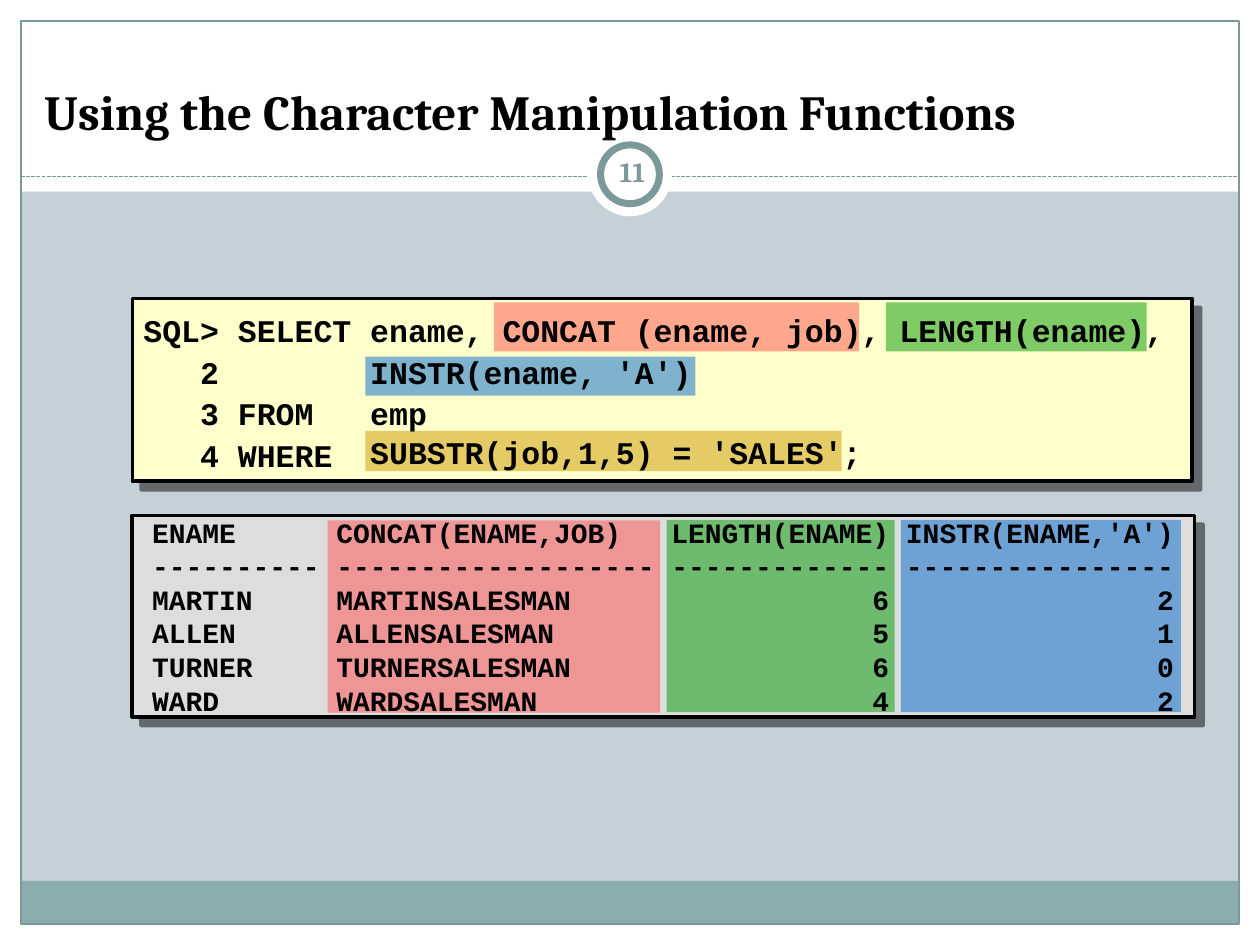
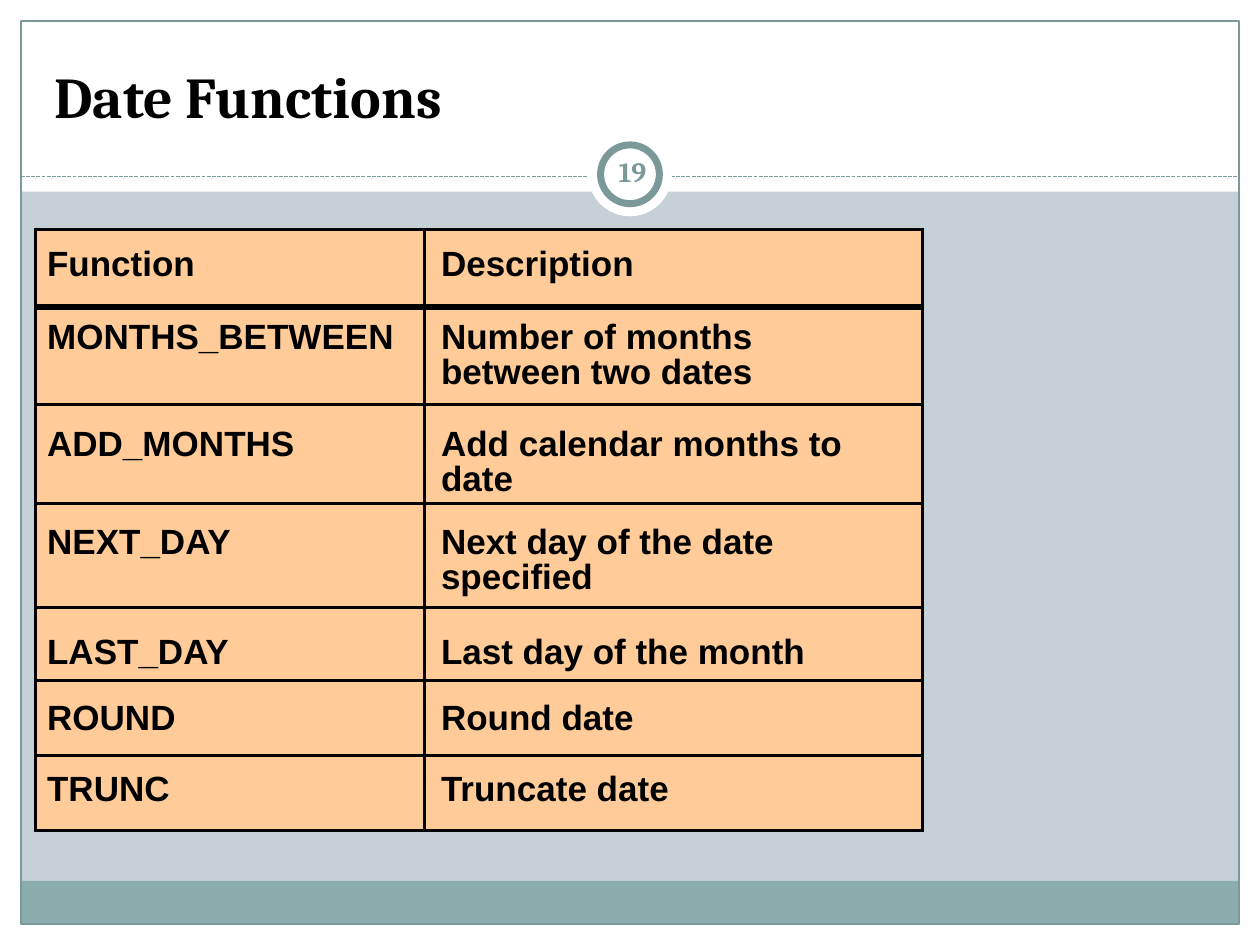
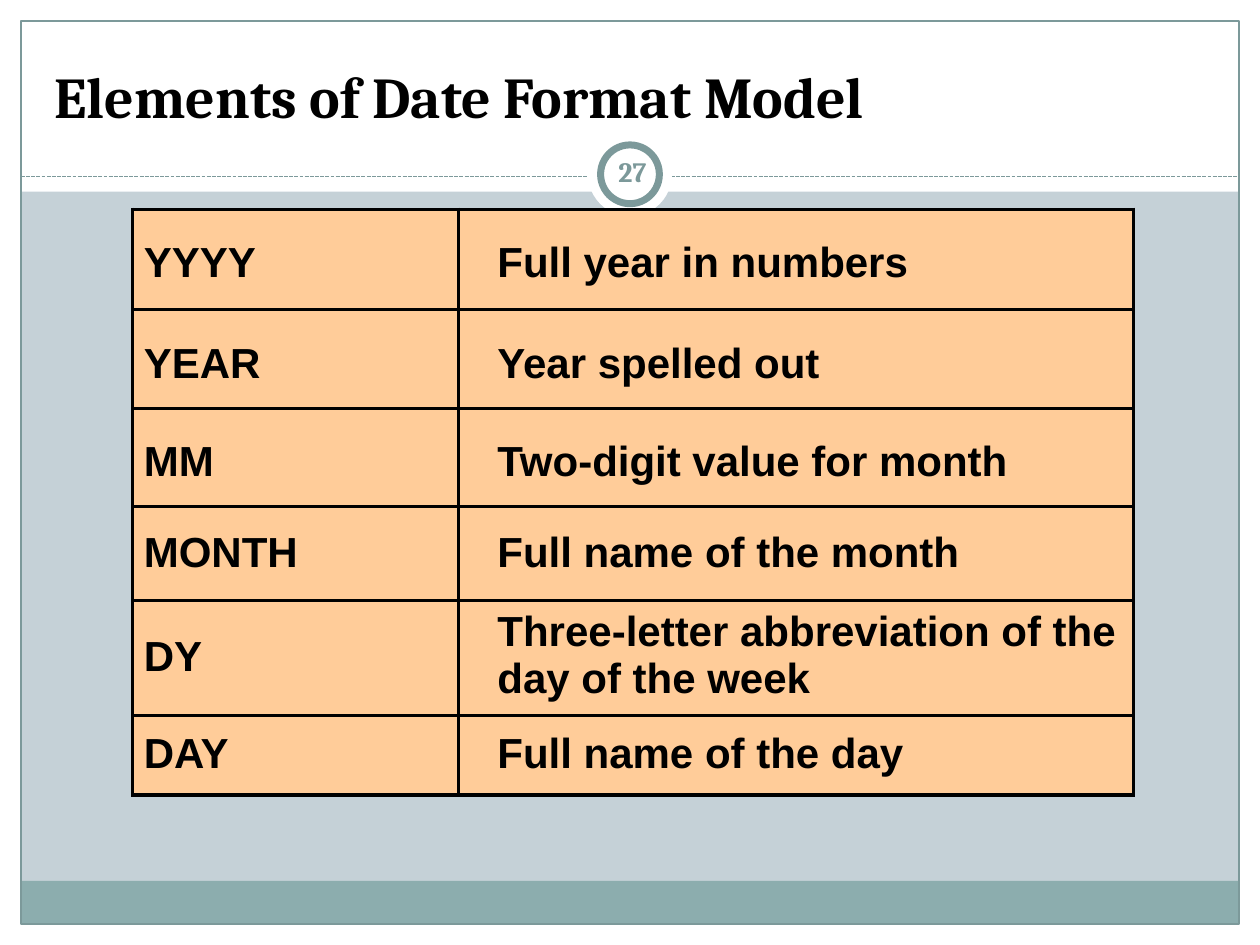
from lxml.etree import SubElement
from pptx import Presentation
from pptx.dml.color import RGBColor
from pptx.enum.dml import MSO_LINE
from pptx.enum.shapes import MSO_CONNECTOR, MSO_SHAPE
from pptx.enum.text import MSO_ANCHOR, MSO_AUTO_SIZE, PP_ALIGN
from pptx.oxml.ns import qn
from pptx.util import Pt

BLACK = RGBColor(0x00, 0x00, 0x00)
WHITE = RGBColor(0xFF, 0xFF, 0xFF)
BACKGROUND = RGBColor(0xC5, 0xD1, 0xD7)
BAND = RGBColor(0x8C, 0xAD, 0xAE)
ACCENT = RGBColor(0x7C, 0x99, 0x9A)
PEACH = RGBColor(0xFF, 0xCC, 0x99)
CREAM = RGBColor(0xFF, 0xFF, 0xCC)
GRAY = RGBColor(0xDD, 0xDD, 0xDD)
RED = RGBColor(0xFF, 0x50, 0x50)
GREEN = RGBColor(0x00, 0x99, 0x00)
BLUE = RGBColor(0x00, 0x66, 0xCC)
GOLD = RGBColor(0xCC, 0x99, 0x00)

SERIF, SANS, MONO = "Cambria", "Arial", "Courier New"
WIDTH, HEIGHT, MARGIN = 720, 540, 12

QUERY = [
    "SQL> SELECT ename, CONCAT (ename, job), LENGTH(ename),",
    "   2        INSTR(ename, 'A')",
    "   3 FROM   emp",
    "   4 WHERE",
]
CONDITION = "SUBSTR(job,1,5) = 'SALES';"
COLUMNS = [("ENAME", 10, "<"), ("CONCAT(ENAME,JOB)", 19, "<"),
           ("LENGTH(ENAME)", 13, ">"), ("INSTR(ENAME,'A')", 16, ">")]
RECORDS = [
    ("MARTIN", "MARTINSALESMAN", 6, 2),
    ("ALLEN", "ALLENSALESMAN", 5, 1),
    ("TURNER", "TURNERSALESMAN", 6, 0),
    ("WARD", "WARDSALESMAN", 4, 2),
]
HIGHLIGHTS = [
    (RED, (282.2, 172.8, 208.8, 28)), (RED, (187.2, 297.3, 190, 110)),
    (GREEN, (506.2, 172.8, 149, 28)), (GREEN, (380.9, 297, 130.3, 110)),
    (BLUE, (208.8, 203.8, 188.6, 22.3)), (BLUE, (514.8, 297, 160, 110)),
    (GOLD, (208.8, 246.2, 272.2, 23)),
]

# Each table row: key, description, row height, text offset in each column.
DATE_FUNCTIONS = [
    ("Function", "Description", 44.7, 10.8, 10.8),
    ("MONTHS_BETWEEN", "Number of months\nbetween two dates", 55.4, 7.9, 7.9),
    ("ADD_MONTHS", "Add calendar months to date", 55.5, 13.7, 13.7),
    ("NEXT_DAY", "Next day of the date specified", 59, 12.9, 12.9),
    ("LAST_DAY", "Last day of the month", 41.8, 16.6, 16.6),
    ("ROUND", "Round date", 43.2, 12.9, 12.9),
    ("TRUNC", "Truncate date", 42.4, 10, 10),
]
FORMAT_ELEMENTS = [
    ("YYYY", "Full year in numbers", 57.6, 17.3, 17.3),
    ("YEAR", "Year spelled out", 56.2, 17.3, 17.3),
    ("MM", "Two-digit value for month", 56.1, 17.3, 17.3),
    ("MONTH", "Full name of the month", 54, 13, 13),
    ("DY", "Three-letter abbreviation of the day of the week", 65.6, 18.8, 4.4),
    ("DAY", "Full name of the day", 45.3, 8.6, 8.6),
]


def add_box(s, box, fill=None, line=None, weight=0.75, kind=MSO_SHAPE.RECTANGLE):
    """Add a preset shape without the theme's shadow, fill and line."""
    sp = s.shapes.add_shape(kind, *map(Pt, box))
    sp.shadow.inherit = False
    if fill is None:
        sp.fill.background()
    else:
        sp.fill.solid()
        sp.fill.fore_color.rgb = fill
    if line is None:
        sp.line.fill.background()
    else:
        sp.line.color.rgb = line
        sp.line.width = Pt(weight)
    return sp


def add_alpha(parent, percent):
    """Set the opacity of the first colour under an element."""
    color = next(parent.iter(qn("a:srgbClr")))
    SubElement(color, qn("a:alpha"), val=str(percent * 1000))


def add_panel(s, box, fill):
    """Add an outlined panel with a hard shadow at its lower right."""
    spPr = add_box(s, box, fill, BLACK, 2).element.spPr
    shadow = SubElement(spPr.find(qn("a:effectLst")), qn("a:outerShdw"),
                        dist=str(Pt(7.1)), dir=str(45 * 60000), algn="ctr", rotWithShape="0")
    SubElement(shadow, qn("a:srgbClr"), val=str(BLACK))
    add_alpha(shadow, 50)


def write(p, text, font, size, color=BLACK):
    """Write bold text into a paragraph, breaking lines at newlines."""
    for i, part in enumerate(text.split("\n")):
        if i:
            p.add_line_break()
        r = p.add_run()
        r.text = part
        r.font.name, r.font.size, r.font.bold = font, Pt(size), True
        r.font.color.rgb = color


def add_text(s, box, lines, font, size, color=BLACK, spacing=1.0,
             anchor=MSO_ANCHOR.TOP, align=PP_ALIGN.LEFT, inset=7.2):
    """Add a text box with one paragraph for each line."""
    tf = s.shapes.add_textbox(*map(Pt, box)).text_frame
    tf.word_wrap = True
    tf.vertical_anchor = anchor
    tf.margin_left = tf.margin_right = Pt(inset)
    tf.margin_top = tf.margin_bottom = Pt(3.6)
    for i, line in enumerate(lines):
        p = tf.add_paragraph() if i else tf.paragraphs[0]
        p.line_spacing, p.alignment = spacing, align
        write(p, line, font, size, color)


def add_frame(s, layout):
    """Draw the shared frame and move it to the layout."""
    right, bottom = WIDTH - MARGIN, HEIGHT - MARGIN
    for box in [(0, bottom, WIDTH, MARGIN), (0, 0, WIDTH, 109.5),
                (0, 0, MARGIN, HEIGHT), (right, 0, MARGIN, HEIGHT)]:
        add_box(s, box, WHITE)
    add_box(s, (MARGIN, 503.3, right - MARGIN, 24.7), BAND)
    add_box(s, (MARGIN, MARGIN, right - MARGIN, bottom - MARGIN), None, ACCENT)
    rule = s.shapes.add_connector(MSO_CONNECTOR.STRAIGHT, Pt(MARGIN), Pt(100.8),
                                  Pt(right), Pt(100.8))
    rule.line.color.rgb = ACCENT
    rule.line.width = Pt(0.75)
    rule.line.dash_style = MSO_LINE.SQUARE_DOT
    SubElement(rule.element.spPr, qn("a:effectLst"))
    add_box(s, (336, 75.6, 48, 48), WHITE, kind=MSO_SHAPE.OVAL)
    add_box(s, (343.2, 82.8, 33.6, 33.6), WHITE, ACCENT, 4, MSO_SHAPE.OVAL)
    for sp in list(s.shapes):
        if not sp.is_placeholder:
            layout.shapes.element.append(sp.element)


def add_heading(s, title, number, size=33, left=24, top=18):
    """Fill the title placeholder and the number in the ring."""
    sp = s.shapes.title
    sp.left, sp.top, sp.width, sp.height = map(Pt, (left, top, 672, 60))
    tf = sp.text_frame
    tf.word_wrap, tf.auto_size = True, MSO_AUTO_SIZE.NONE
    tf.vertical_anchor = MSO_ANCHOR.BOTTOM
    p = tf.paragraphs[0]
    p.alignment = PP_ALIGN.LEFT
    write(p, title, SERIF, size)
    add_text(s, (343.4, 80.6, 36, 34.6), [str(number)], SERIF, 16, ACCENT,
             anchor=MSO_ANCHOR.MIDDLE, align=PP_ALIGN.CENTER, inset=3.6)


def add_grid(s, rows, left, top, widths, insets, right_inset, size, spacing, head_rule=2):
    """Add a two-column table with black rules."""
    heights = [row[2] for row in rows]
    frame = s.shapes.add_table(len(rows), 2, Pt(left), Pt(top),
                               Pt(sum(widths)), Pt(sum(heights)))
    table = frame.table
    table.first_row = table.horz_banding = False
    for j, width in enumerate(widths):
        table.columns[j].width = Pt(width)
    for i, row in enumerate(rows):
        table.rows[i].height = Pt(heights[i])
        for j in range(2):
            cell = table.cell(i, j)
            cell.margin_left, cell.margin_right = Pt(insets[j]), Pt(right_inset)
            cell.margin_top, cell.margin_bottom = Pt(row[3 + j]), Pt(0)
            cell.vertical_anchor = MSO_ANCHOR.TOP
            weights = {"L": 2, "R": 2, "T": head_rule if i == 1 else 2,
                       "B": head_rule if i == 0 else 2}
            tcPr = cell._tc.get_or_add_tcPr()
            for side, weight in weights.items():
                ln = SubElement(tcPr, qn(f"a:ln{side}"), w=str(Pt(weight)))
                SubElement(SubElement(ln, qn("a:solidFill")), qn("a:srgbClr"), val=str(BLACK))
            cell.fill.solid()
            cell.fill.fore_color.rgb = PEACH
            p = cell.text_frame.paragraphs[0]
            p.line_spacing = spacing
            write(p, row[j], SANS, size)


def result_lines():
    """Lay the records out as fixed-width console output."""
    header = " ".join(f"{name:<{width}}" for name, width, _ in COLUMNS)
    dashes = " ".join("-" * width for _, width, _ in COLUMNS)
    body = [" ".join(f"{value:{side}{width}}" for value, (_, width, side) in zip(record, COLUMNS))
            for record in RECORDS]
    return [header, dashes] + body


def main():
    """Build the three slides."""
    prs = Presentation()
    prs.slide_width, prs.slide_height = Pt(WIDTH), Pt(HEIGHT)
    fill = prs.slide_master.background.fill
    fill.solid()
    fill.fore_color.rgb = BACKGROUND
    layout = prs.slide_layouts[5]

    s = prs.slides.add_slide(layout)
    add_frame(s, layout)
    add_panel(s, (75.6, 294.5, 607, 115.2), GRAY)
    add_panel(s, (75.6, 170.6, 605.5, 104.4), CREAM)
    for color, box in HIGHLIGHTS:
        add_alpha(add_box(s, box, color).element.spPr, 50)
    add_heading(s, "Using the Character Manipulation Functions", 11, 28, 18, 24)
    add_text(s, (74.9, 169.9, 604, 106.6), QUERY, MONO, 18, spacing=1.1,
             anchor=MSO_ANCHOR.MIDDLE)
    add_text(s, (204.5, 239.8, 302, 33), [CONDITION], MONO, 18, spacing=1.2)
    add_text(s, (79.9, 290.9, 602.6, 122.4), result_lines(), MONO, 16)

    s = prs.slides.add_slide(layout)
    add_heading(s, "Date Functions", 19)
    add_grid(s, DATE_FUNCTIONS, 20.4, 131, (222.1, 284.5), (6.5, 9.5), 4.3, 20, 0.9, 4)

    s = prs.slides.add_slide(layout)
    add_heading(s, "Elements of Date Format Model", 27)
    add_grid(s, FORMAT_ELEMENTS, 75.8, 119.5, (186.2, 386), (6.4, 22.3), 9.4, 24, 1.0)

    prs.save("out.pptx")


if __name__ == "__main__":
    main()
